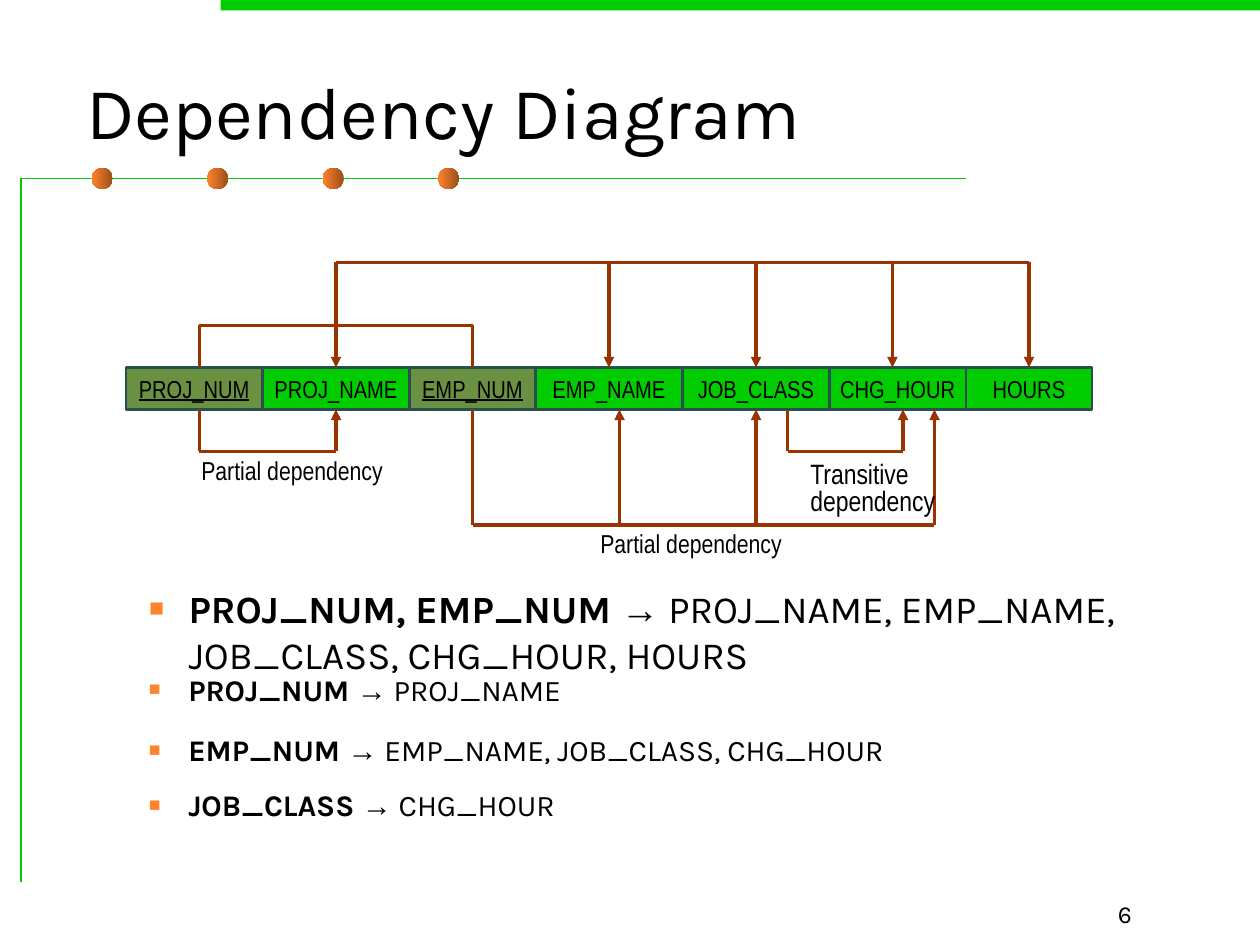
from itertools import pairwise

from lxml import etree
from pptx import Presentation
from pptx.dml.color import RGBColor
from pptx.enum.shapes import MSO_CONNECTOR, MSO_SHAPE
from pptx.enum.text import MSO_ANCHOR, MSO_AUTO_SIZE, PP_ALIGN
from pptx.oxml.ns import qn
from pptx.util import Pt

PX = 9525
RECT, OVAL = MSO_SHAPE.RECTANGLE, MSO_SHAPE.OVAL
STRAIGHT = MSO_CONNECTOR.STRAIGHT
LEFT, CENTER, RIGHT = PP_ALIGN.LEFT, PP_ALIGN.CENTER, PP_ALIGN.RIGHT
TOP, MIDDLE, BOTTOM = MSO_ANCHOR.TOP, MSO_ANCHOR.MIDDLE, MSO_ANCHOR.BOTTOM
NO_FIT = MSO_AUTO_SIZE.NONE

COLORS = {
    "green": "00CC00",
    "key": "699141",
    "border": "27504F",
    "arrow": "993300",
    "orange": "FF822D",
    "brown": "9A4E1B",
    "text": "000000",
}

ROW_TOP, ROW_BOTTOM = 280, 312
ATTRIBUTES = ["PROJ_NUM", "PROJ_NAME", "EMP_NUM", "EMP_NAME", "JOB_CLASS", "CHG_HOUR", "HOURS"]
ATTRIBUTE_EDGES = [96, 200, 312, 408, 520, 632, 736, 832]
PRIMARY_KEY = {"PROJ_NUM", "EMP_NUM"}

KEY_BRACKET = [(152, ROW_TOP), (152, 248), (360, 248), (360, ROW_TOP)]
DEPENDENCY_ROUTES = [
    [(784, 200), (256, 200), (256, 248), (256, ROW_TOP)],
    [(152, ROW_BOTTOM), (152, 344), (256, 344), (256, ROW_BOTTOM)],
    [(360, ROW_BOTTOM), (360, 400), (712, 400), (712, ROW_BOTTOM)],
    [(600, ROW_BOTTOM), (600, 344), (688, 344), (688, ROW_BOTTOM)],
    *[[(x, 200), (x, ROW_TOP)] for x in (464, 576, 680, 784)],
    *[[(x, 400), (x, ROW_BOTTOM)] for x in (472, 576)],
]

LABELS = [
    ((400, 400, 248, 40), ["Partial dependency"], 14.8, 0.9),
    ((96, 344, 248, 40), ["Partial dependency"], 14.8, 0.9),
    ((560, 352, 184, 80), ["Transitive", "dependency"], 16, 0.6),
]
PARTIAL_AND_TRANSITIVE = [
    (512, "PROJ_NUM", "PROJ_NAME"),
    (558, "EMP_NUM", "EMP_NAME, JOB_CLASS, CHG_HOUR"),
    (600, "JOB_CLASS", "CHG_HOUR"),
]


def rgb(name):
    return RGBColor.from_string(COLORS[name])


def add_bullet(properties):
    color = etree.SubElement(properties, qn("a:buClr"))
    etree.SubElement(color, qn("a:srgbClr"), val=COLORS["orange"])
    etree.SubElement(properties, qn("a:buSzPct"), val="65000")
    etree.SubElement(properties, qn("a:buFont"), typeface="Arial")
    etree.SubElement(properties, qn("a:buChar"), char="■")


def write(frame, paragraphs, size=14, font="Karla", align=LEFT, anchor=TOP, wrap=True,
          spacing=1.0, before=0, margin=0, hanging=0, bullet=False, underline=False):
    frame.auto_size = NO_FIT
    frame.word_wrap = wrap
    frame.vertical_anchor = anchor
    for index, content in enumerate(paragraphs):
        paragraph = frame.paragraphs[0] if index == 0 else frame.add_paragraph()
        properties = paragraph._p.get_or_add_pPr()
        properties.set("marL", str(margin * PX))
        properties.set("indent", str(-hanging * PX))
        if bullet:
            add_bullet(properties)
        paragraph.alignment = align
        paragraph.line_spacing = spacing
        paragraph.space_before = Pt(before if index else 0)
        runs = [(content, font, False)] if isinstance(content, str) else content
        for words, typeface, bold in runs:
            run = paragraph.add_run()
            run.text = words
            run.font.name = typeface
            run.font.size = Pt(size)
            run.font.bold = bold
            run.font.underline = underline
            run.font.color.rgb = rgb("text")


def dependency(determinant, dependents):
    return [(determinant + " ", "Karla", True), ("→", "Arial", False),
            (" " + dependents, "Karla", False)]


class DiagramSlide:
    def __init__(self, slide):
        self.slide = slide
        self.shapes = slide.shapes
        self.joints = {}

    def placeholder(self, index, box, paragraphs, **style):
        holder = self.slide.placeholders[index]
        holder.left, holder.top, holder.width, holder.height = [n * PX for n in box]
        write(holder.text_frame, paragraphs, **style)

    def text(self, box, paragraphs, **style):
        holder = self.shapes.add_textbox(*[n * PX for n in box])
        write(holder.text_frame, paragraphs, **style)

    def shape(self, kind, box, fill):
        shape = self.shapes.add_shape(kind, *[n * PX for n in box])
        shape.shadow.inherit = False
        shape.line.fill.background()
        shape.fill.solid()
        shape.fill.fore_color.rgb = rgb(fill)
        return shape

    def bead(self, box):
        fill = self.shape(OVAL, box, "orange").fill
        fill.gradient()
        fill.gradient_angle = 180
        for stop, color in zip(fill.gradient_stops, ("brown", "orange")):
            stop.color.rgb = rgb(color)

    def frame_rule(self, points):
        builder = self.shapes.build_freeform(*points[0], scale=PX)
        builder.add_line_segments(points[1:], close=False)
        rule = builder.convert_to_shape()
        rule.shadow.inherit = False
        rule.fill.background()
        rule.line.color.rgb = rgb("green")
        rule.line.width = Pt(0.75)

    def attribute(self, name, left, right):
        is_key = name in PRIMARY_KEY
        box = (left, ROW_TOP, right - left, ROW_BOTTOM - ROW_TOP)
        cell = self.shape(RECT, box, "key" if is_key else "green")
        cell.line.color.rgb = rgb("border")
        cell.line.width = Pt(1.5)
        write(cell.text_frame, [name], font="Arial Narrow", align=CENTER,
              anchor=MIDDLE, wrap=False, underline=is_key)
        center = (left + right) // 2
        self.joints[center, ROW_TOP] = (cell, 0)
        self.joints[center, ROW_BOTTOM] = (cell, 2)

    def segment(self, start, end, arrow):
        line = self.shapes.add_connector(STRAIGHT, *[n * PX for n in start + end])
        line.line.color.rgb = rgb("arrow")
        line.line.width = Pt(2)
        if arrow:
            etree.SubElement(line.line._get_or_add_ln(), qn("a:tailEnd"), type="triangle")
        etree.SubElement(line._element.spPr, qn("a:effectLst"))
        if start in self.joints:
            line.begin_connect(*self.joints[start])
        if end in self.joints:
            line.end_connect(*self.joints[end])

    def route(self, points, arrow=True):
        for start, end in pairwise(points):
            self.segment(start, end, arrow and end == points[-1])


def main():
    deck = Presentation()
    deck.slide_width, deck.slide_height = 960 * PX, 720 * PX
    page = DiagramSlide(deck.slides.add_slide(deck.slide_layouts[1]))

    page.shape(RECT, (168, 0, 792, 8), "green")
    page.frame_rule([(16, 672), (16, 136), (736, 136)])
    for index in range(4):
        page.bead((70 + 88 * index, 128, 16, 16))

    page.placeholder(0, (56, 40, 816, 88), ["Dependency Diagram"], size=42, anchor=MIDDLE)
    bullet_style = {"margin": 78, "hanging": 30, "bullet": True}
    full_dependency = dependency("PROJ_NUM, EMP_NUM",
                                 "PROJ_NAME, EMP_NAME, JOB_CLASS, CHG_HOUR, HOURS")
    page.placeholder(1, (56, 441, 816, 84), [full_dependency], size=22, **bullet_style)
    for top, determinant, dependents in PARTIAL_AND_TRANSITIVE:
        page.text((56, top, 816, 40), [dependency(determinant, dependents)],
                  size=17.1, spacing=0.8, **bullet_style)

    for name, (left, right) in zip(ATTRIBUTES, pairwise(ATTRIBUTE_EDGES)):
        page.attribute(name, left, right)
    page.route(KEY_BRACKET, arrow=False)
    for points in DEPENDENCY_ROUTES:
        page.route(points)

    for box, lines, size, spacing in LABELS:
        page.text(box, lines, size=size, font="Arial Narrow", spacing=spacing,
                  before=4, margin=48)
    page.text((672, 664, 200, 48), ["6"], align=RIGHT, anchor=BOTTOM)

    deck.save("out.pptx")


if __name__ == "__main__":
    main()
